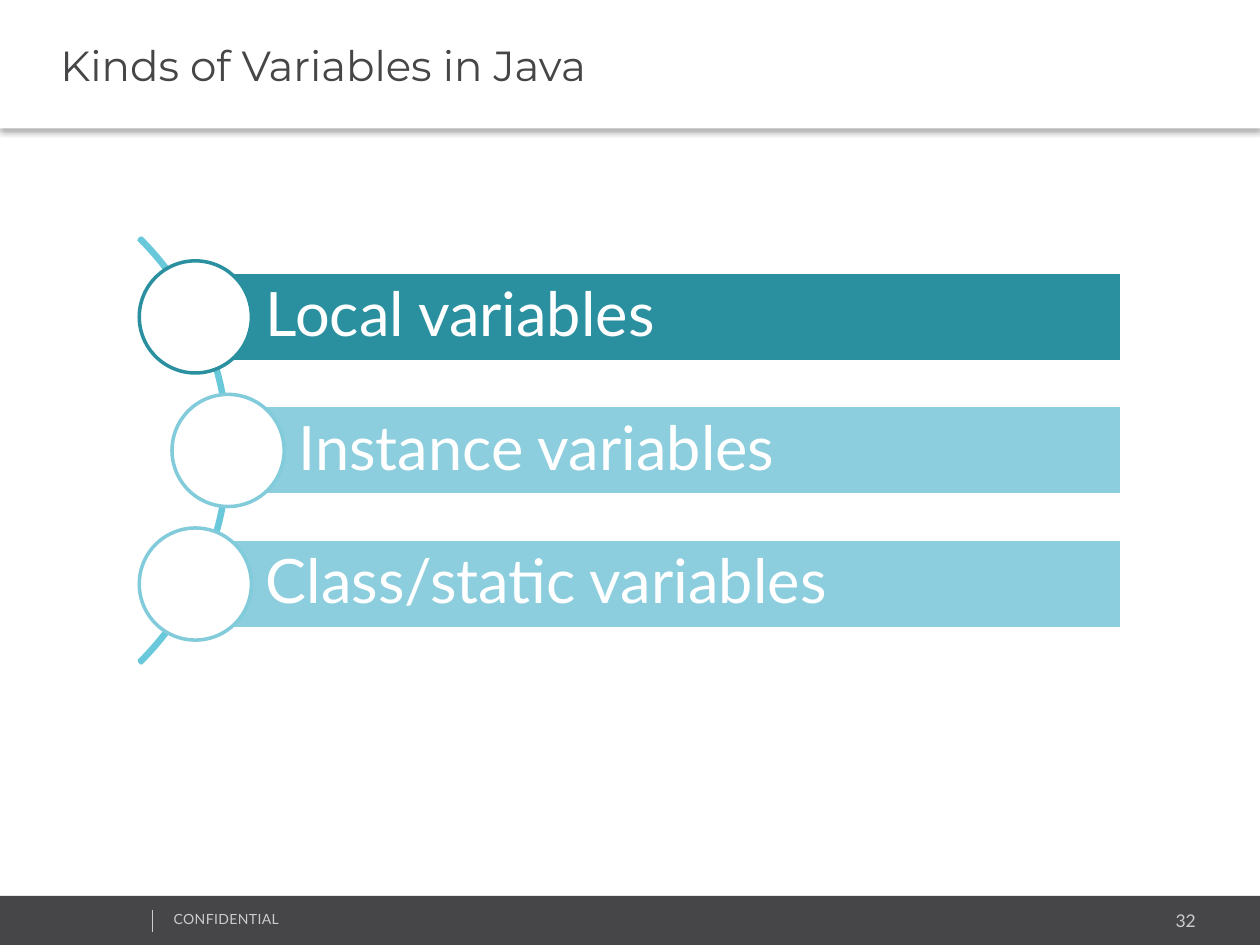
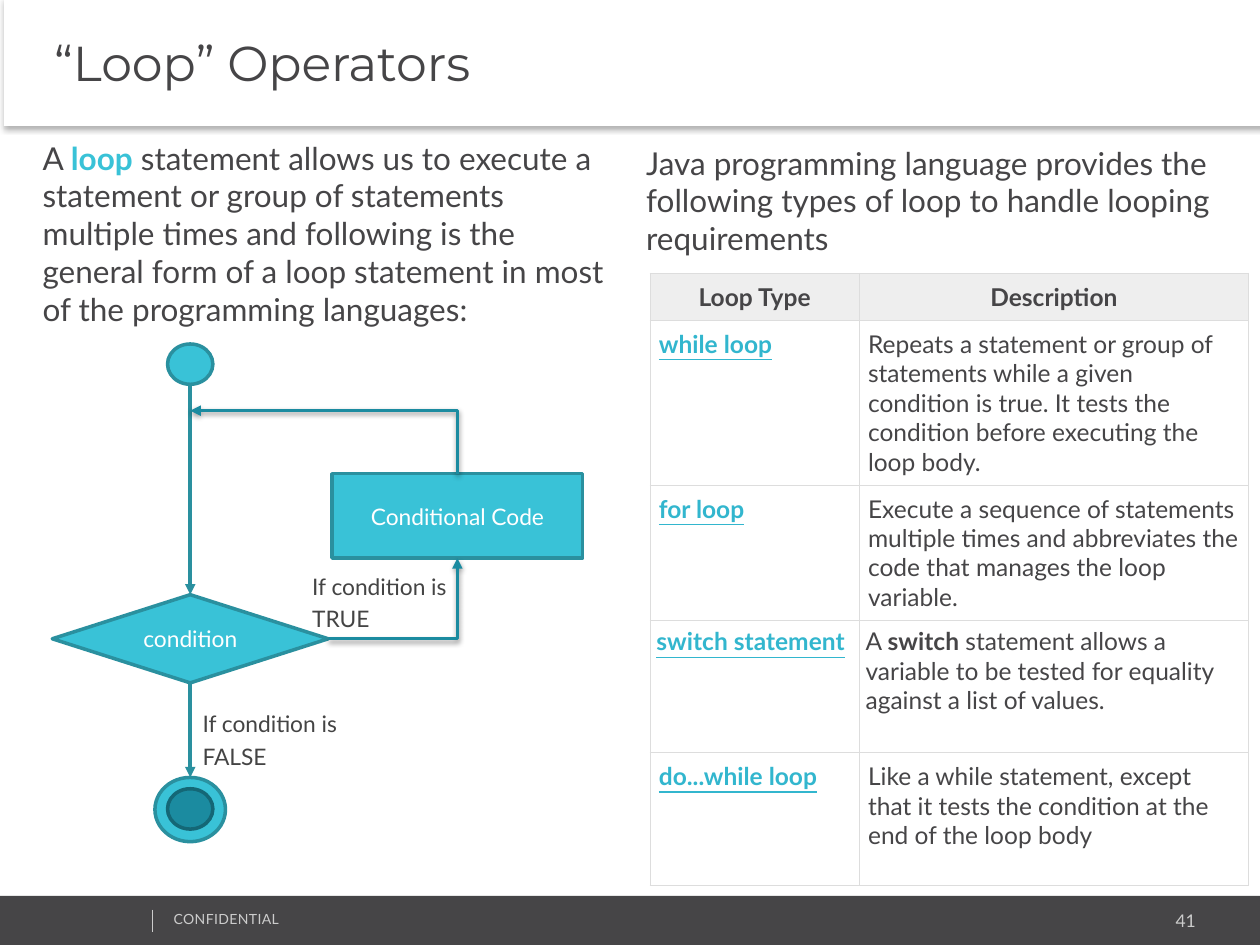
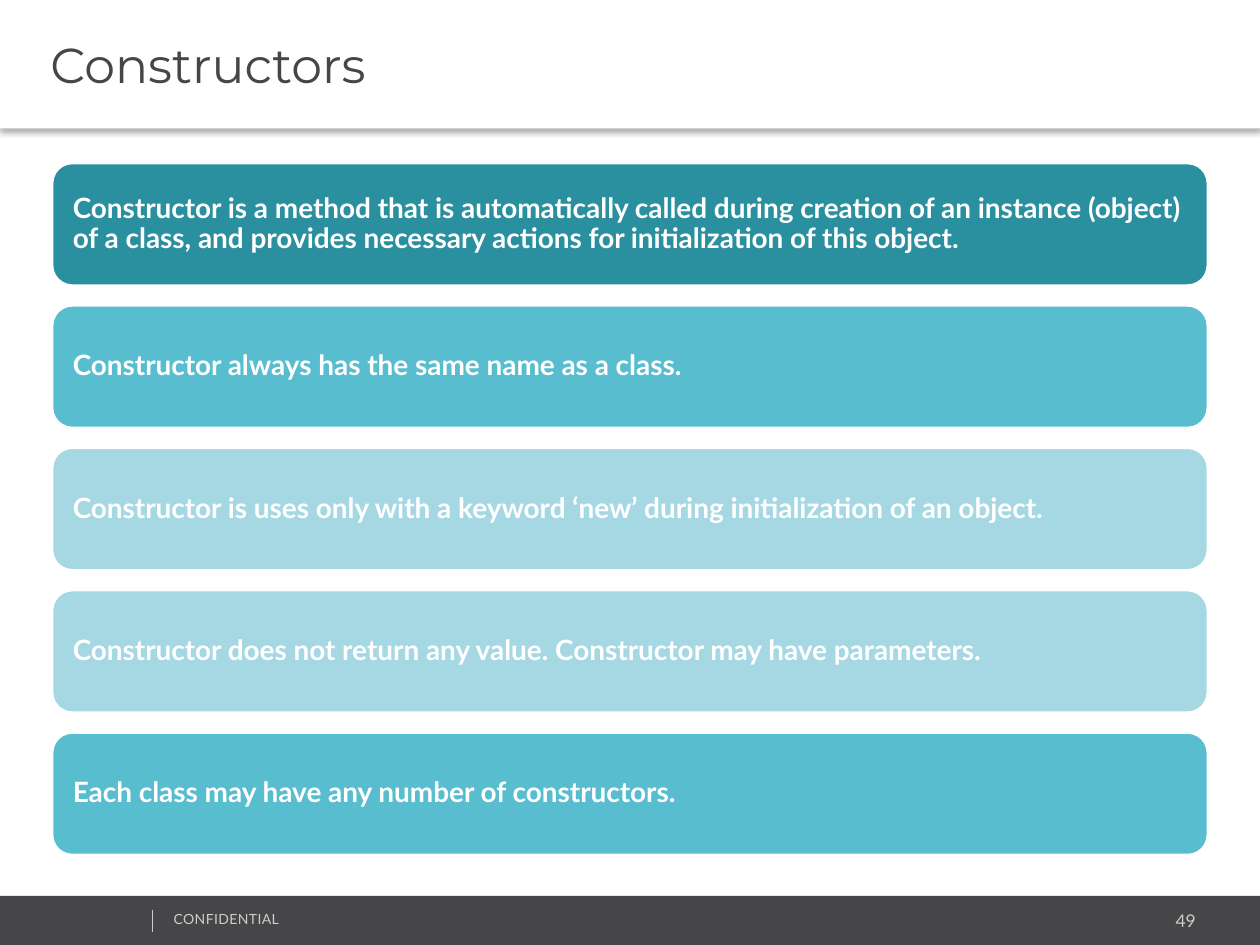
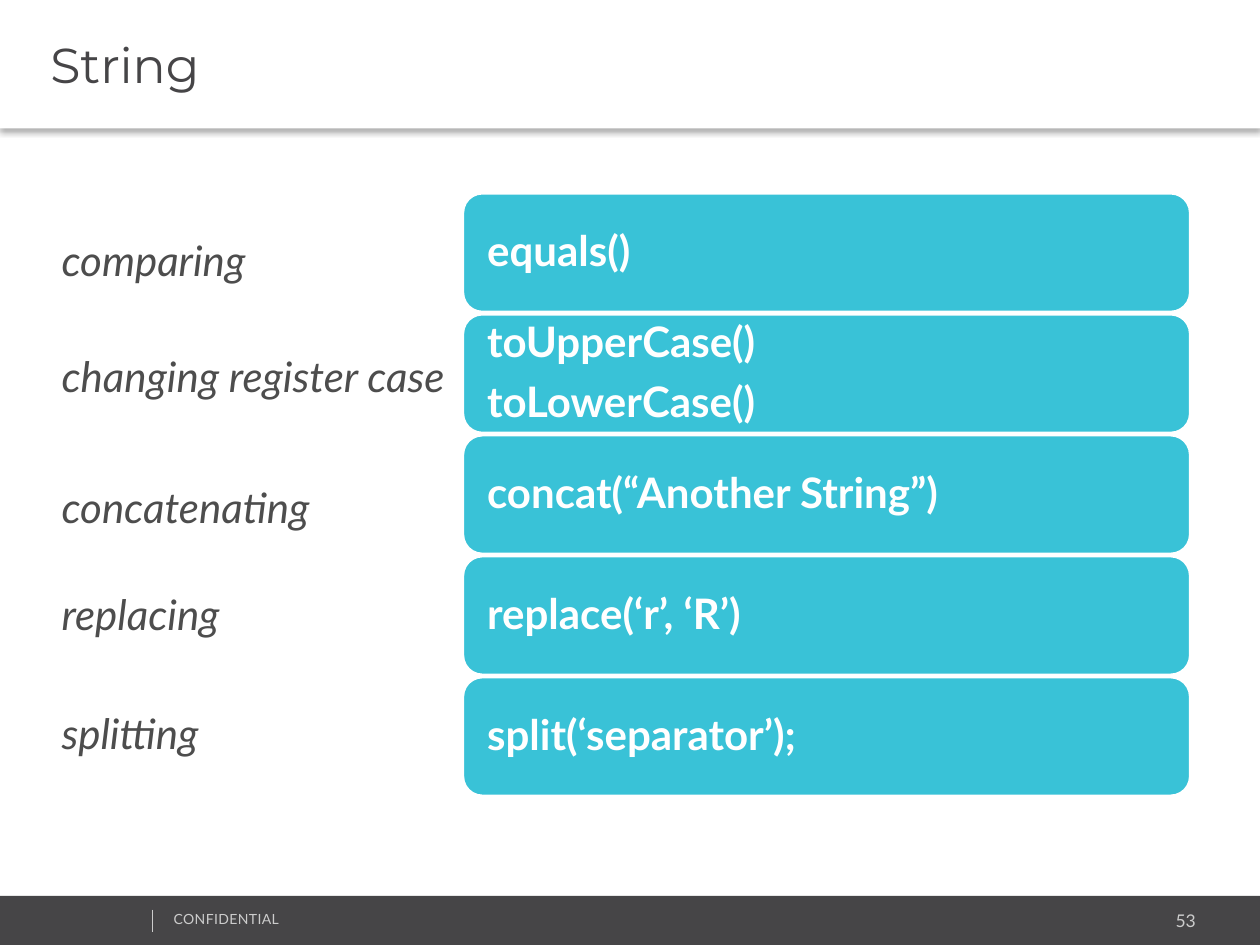
from lxml.etree import SubElement
from pptx import Presentation
from pptx.dml.color import RGBColor
from pptx.enum.shapes import MSO_CONNECTOR as Link, MSO_SHAPE as Preset
from pptx.enum.text import MSO_ANCHOR as Anchor, MSO_AUTO_SIZE as AutoSize, PP_ALIGN as Align
from pptx.oxml.ns import qn
from pptx.util import Inches, Pt

WHITE = RGBColor(0xFF, 0xFF, 0xFF)
INK = RGBColor(0x46, 0x45, 0x47)
LABEL_INK = RGBColor(0x44, 0x44, 0x44)
TOPIC_INK = RGBColor(0x4D, 0x4D, 0x4D)
FOOTER_GREY = RGBColor(0xCC, 0xCC, 0xCC)
HEADER_GREY = RGBColor(0xEE, 0xEE, 0xEE)
TEAL = RGBColor(0x2A, 0x90, 0x9F)
DEEP_TEAL = RGBColor(0x1B, 0x8B, 0xA0)
DARK_TEAL = RGBColor(0x14, 0x67, 0x76)
CYAN = RGBColor(0x39, 0xC2, 0xD7)
LINK_CYAN = RGBColor(0x32, 0xB6, 0xCE)
ARC_CYAN = RGBColor(0x69, 0xC9, 0xDB)
MID_CYAN = RGBColor(0x59, 0xBD, 0xD0)
PALE_CYAN = RGBColor(0xA6, 0xD8, 0xE4)
BAR_CYAN = RGBColor(0x8C, 0xCE, 0xDD)
RING_CYAN = RGBColor(0x82, 0xCB, 0xDA)

BODY_FONT = "Lato"
TITLE_FONT = "Montserrat"

VARIABLE_KINDS = [
    ("Local variables", 0, TEAL, TEAL),
    ("Instance variables", 0.26, BAR_CYAN, RING_CYAN),
    ("Class/static variables", 0, BAR_CYAN, RING_CYAN),
]
LOOP_INTRO = (
    "A *loop* statement allows us to execute a statement or group of statements multiple times "
    "and following is the general form of a loop statement in most of the programming languages:"
)
LOOP_TYPES_INTRO = (
    "Java programming language provides the following types of loop to handle looping requirements"
)
LOOP_TYPES = [
    ("while loop", "Repeats a statement or group of statements while a given condition is true. "
                   "It tests the condition before executing the loop body.", 1.28, 0.07),
    ("for loop", "Execute a sequence of statements multiple times and abbreviates the code that "
                 "manages the loop variable.", 1.05, 0.07),
    ("switch statement", "A *switch* statement allows a variable to be tested for equality "
                         "against a list of values.", 1.05, 0.05),
    ("do...while loop", "Like a while statement, except that it tests the condition at the end "
                        "of the loop body", 1.05, 0.07),
]
CONSTRUCTOR_FACTS = [
    ("Constructor is a method that is automatically called during creation of an instance "
     "(object) of a class, and provides necessary actions for initialization of this object.", TEAL),
    ("Constructor always has the same name as a class.", MID_CYAN),
    ("Constructor is uses only with a keyword ‘new’ during initialization of an object.", PALE_CYAN),
    ("Constructor does not return any value. Constructor may have parameters.", PALE_CYAN),
    ("Each class may have any number of constructors.", MID_CYAN),
]
STRING_METHODS = [
    ("equals()", CYAN),
    ("toUpperCase()\ntoLowerCase()", CYAN),
    ("concat(“Another String”)", CYAN),
    ("replace(‘r’, ‘R’)", CYAN),
    ("split(‘separator’);", CYAN),
]
STRING_TOPICS = [
    ("comparing", 1.81),
    ("changing register case", 2.73),
    ("concatenating", 3.77),
    ("replacing", 4.62),
    ("splitting", 5.57),
]


def write(frame, text, size, color, align=Align.LEFT, bold=False, italic=False,
          underline=False, accent=None, spacing=None, after=0, font=BODY_FONT):
    """Write one paragraph per line, with the parts between asterisks in bold accent."""
    lines = text.split("\n")
    for number, line in enumerate(lines):
        paragraph = frame.paragraphs[0] if number == 0 else frame.add_paragraph()
        paragraph.alignment = align
        if spacing:
            paragraph.line_spacing = spacing
        if number < len(lines) - 1:
            paragraph.space_after = Pt(after)
        for position, part in enumerate(line.split("*")):
            stressed = position % 2 == 1
            run = paragraph.add_run()
            run.text = part
            run.font.name = font
            run.font.size = Pt(size)
            run.font.bold = bold or stressed
            run.font.italic = italic
            run.font.underline = underline
            run.font.color.rgb = accent if stressed and accent else color


def set_margins(frame, left, top, right, bottom):
    """Set the four insets of a text frame in inches."""
    frame.margin_left, frame.margin_top = Inches(left), Inches(top)
    frame.margin_right, frame.margin_bottom = Inches(right), Inches(bottom)


def add_box(slide, preset, left, top, width, height, fill, line=None):
    """Add a flat preset shape with middle-anchored text."""
    box = slide.shapes.add_shape(preset, Inches(left), Inches(top), Inches(width), Inches(height))
    box.shadow.inherit = False
    if fill is None:
        box.fill.background()
    else:
        box.fill.solid()
        box.fill.fore_color.rgb = fill
    if line is None:
        box.line.fill.background()
    else:
        box.line.width = Pt(2)
        box.line.color.rgb = line
    box.text_frame.word_wrap = True
    box.text_frame.vertical_anchor = Anchor.MIDDLE
    return box


def add_note(slide, left, top, width, height, text, size, color, **style):
    """Add a wrapping text box."""
    note = slide.shapes.add_textbox(Inches(left), Inches(top), Inches(width), Inches(height))
    note.text_frame.word_wrap = True
    write(note.text_frame, text, size, color, **style)
    return note


def add_line(slide, start, end, color, weight=2, kind=Link.STRAIGHT, arrow=None):
    """Add a connector without shadow, with an optional arrowhead (headEnd or tailEnd)."""
    line = slide.shapes.add_connector(kind, *map(Inches, start + end))
    line.line.width = Pt(weight)
    line.line.color.rgb = color
    properties = line.element.spPr
    if arrow:
        SubElement(properties.find(qn("a:ln")), qn(f"a:{arrow}"), type="triangle")
    SubElement(properties, qn("a:effectLst"))
    return line


def cast_shadow(shape, opacity, distance):
    """Put a soft black shadow below a shape whose effect list is empty."""
    effects = shape.element.spPr.find(qn("a:effectLst"))
    shadow = SubElement(effects, qn("a:outerShdw"), blurRad=str(Pt(3.1)), dist=str(Pt(distance)),
                        dir="5400000", algn="t", rotWithShape="0")
    black = SubElement(shadow, qn("a:srgbClr"), val="000000")
    SubElement(black, qn("a:alpha"), val=str(opacity * 1000))


def move_footer_to_layout(slide, layout):
    """Draw the shared footer band once and hand it to the layout."""
    band = add_box(slide, Preset.RECTANGLE, 0, 7.11, 10, 0.4, INK)
    notice = add_note(slide, 1.28, 7.18, 2.53, 0.24, "CONFIDENTIAL", 8, FOOTER_GREY)
    notice.text_frame.paragraphs[0].runs[0].font._element.set("spc", "20")
    divider = add_line(slide, (1.21, 7.22), (1.21, 7.4), FOOTER_GREY, 0.25)
    for part in (band, notice, divider):
        layout.shapes.element.append(part.element)


def start_slide(deck, layout, heading, number, size=28, left=0, top=0, inset=0.4):
    """Add a slide with its shadowed title band and page number."""
    slide = deck.slides.add_slide(layout)
    title = slide.shapes.title
    title.left, title.top, title.width, title.height = map(Inches, (left, top, 10, 1.02))
    title.fill.solid()
    title.fill.fore_color.rgb = WHITE
    title.shadow.inherit = False
    cast_shadow(title, 30, 2)
    frame = title.text_frame
    frame.auto_size = AutoSize.NONE
    frame.vertical_anchor = Anchor.MIDDLE
    set_margins(frame, inset, 0.05, 0.1, 0.05)
    write(frame, heading, size, INK, font=TITLE_FONT)
    add_note(slide, 7.96, 7.17, 1.63, 0.27, str(number), 10, FOOTER_GREY, align=Align.RIGHT)
    return slide


def add_arc_list(slide, left, top, width):
    """Place labelled bars with circles along an arc."""
    bar_height, pitch, circle = 0.71, 1.06, 0.89
    radius = 2.385
    middle = top + pitch + bar_height / 2
    arc = add_box(slide, Preset.BLOCK_ARC, left - 4.5, middle - radius, 2 * radius, 2 * radius,
                  None, ARC_CYAN)
    for index, value in enumerate((189, 27, 0.005)):
        arc.adjustments[index] = value
    for row, (kind, shift, fill, ring) in enumerate(VARIABLE_KINDS):
        bar_left, bar_top = left + shift, top + row * pitch
        bar = add_box(slide, Preset.RECTANGLE, bar_left, bar_top, width - shift, bar_height,
                      fill, WHITE)
        set_margins(bar.text_frame, 0.56, 0.1, 0.1, 0.1)
        write(bar.text_frame, kind, 35, WHITE, spacing=0.9)
        add_box(slide, Preset.OVAL, bar_left - circle / 2, bar_top + (bar_height - circle) / 2,
                circle, circle, WHITE, ring)


def add_loop_flow(slide, left, top):
    """Draw the flowchart of a loop, from the start dot to the end ring."""
    axis = left + 1.1

    def add_node(preset, center, offset, width, height, fill=CYAN, line=TEAL, text=""):
        """Add a node centred on the given x."""
        node = add_box(slide, preset, center - width / 2, top + offset, width, height, fill, line)
        if text:
            write(node.text_frame, text, 13, WHITE, align=Align.CENTER)
        return node

    code_axis = axis + 2.12
    add_node(Preset.OVAL, axis, 0, 0.36, 0.32)
    decision = add_node(Preset.FLOWCHART_DECISION, axis, 1.99, 2.19, 0.7, text="condition")
    add_node(Preset.RECTANGLE, code_axis, 1.03, 1.99, 0.67, text="Conditional Code")
    ring = add_node(Preset.OVAL, axis, 3.44, 0.56, 0.51)
    add_node(Preset.OVAL, axis, 3.53, 0.36, 0.32, DEEP_TEAL, DARK_TEAL)

    entry = add_line(slide, (axis, top + 0.32), (axis, top + 1.99), TEAL, arrow="tailEnd")
    entry.end_connect(decision, 0)
    leave = add_line(slide, (axis, top + 2.69), (axis, top + 3.44), TEAL, arrow="tailEnd")
    leave.begin_connect(decision, 2)
    leave.end_connect(ring, 0)

    bends = [
        ((axis + 1.1, top + 2.34), (code_axis, top + 1.7), "tailEnd"),
        ((axis, top + 0.53), (code_axis, top + 1.03), "headEnd"),
    ]
    for start, end, arrow in bends:
        bend = add_line(slide, start, end, DEEP_TEAL, kind=Link.ELBOW, arrow=arrow)
        bend.element.spPr.find(qn("a:prstGeom")).set("prst", "bentConnector2")
        cast_shadow(bend, 38, 1.6)

    for shift, offset, answer in ((0, 2.81, "FALSE"), (0.87, 1.72, "TRUE")):
        add_note(slide, axis + shift, top + offset, 1.5, 0.63, f"If condition is {answer}", 13,
                 LABEL_INK, spacing=1.2)


def fill_cell(cell, text, inset, fill, color=INK, **style):
    """Write one table cell with its fill and thin grey borders."""
    cell.margin_left = cell.margin_right = Inches(inset)
    cell.margin_top = cell.margin_bottom = Inches(inset)
    write(cell.text_frame, text, 14, color, **style)
    properties = cell._tc.get_or_add_tcPr()
    for side in ("lnL", "lnR", "lnT", "lnB"):
        border = SubElement(properties, qn(f"a:{side}"), w=str(Pt(0.6)))
        paint = SubElement(border, qn("a:solidFill"))
        SubElement(paint, qn("a:srgbClr"), val="DDDDDD")
    cell.fill.solid()
    cell.fill.fore_color.rgb = fill


def add_loop_table(slide, left, top, widths):
    """Add the table of loop types."""
    heights = [0.34] + [height for _, _, height, _ in LOOP_TYPES]
    table = slide.shapes.add_table(len(heights), len(widths), Inches(left), Inches(top),
                                   Inches(sum(widths)), Inches(sum(heights))).table
    table.first_row = table.horz_banding = False
    for column, width in zip(table.columns, widths):
        column.width = Inches(width)
    for row, height in zip(table.rows, heights):
        row.height = Inches(height)
    for column, header in enumerate(("Loop Type", "Description")):
        fill_cell(table.cell(0, column), header, 0.07, HEADER_GREY, align=Align.CENTER, bold=True)
    for row, (loop, description, _, inset) in enumerate(LOOP_TYPES, 1):
        fill_cell(table.cell(row, 0), loop, inset, WHITE, LINK_CYAN, bold=True, underline=True)
        fill_cell(table.cell(row, 1), description, inset, WHITE)


def add_cards(slide, cards, left, top, width, height, pitch, size, inset):
    """Stack rounded cards at an equal pitch."""
    for row, (text, fill) in enumerate(cards):
        card = add_box(slide, Preset.ROUNDED_RECTANGLE, left, top + row * pitch, width, height,
                       fill, WHITE)
        set_margins(card.text_frame, inset, 0, inset, 0)
        write(card.text_frame, text, size, WHITE, bold=True, spacing=0.9, after=0.35 * size)


def add_topics(slide, left, width):
    """Write the string topics beside their methods."""
    for topic, top in STRING_TOPICS:
        add_note(slide, left, top, width, 0.5, topic, 24, TOPIC_INK, italic=True)


def main():
    """Build the four slides and save them."""
    deck = Presentation()
    deck.slide_width, deck.slide_height = Inches(10), Inches(7.5)
    layout = deck.slide_layouts[5]

    variables = start_slide(deck, layout, "Kinds of Variables in Java", 32, size=24, inset=0.48)
    move_footer_to_layout(variables, layout)
    add_arc_list(variables, 1.55, 2.16, 7.35)

    loops = start_slide(deck, layout, "“Loop” Operators", 41, left=0.03, top=-0.02)
    add_loop_flow(loops, 0.41, 2.73)
    add_note(loops, 0.24, 1.05, 4.66, 1.62, LOOP_INTRO, 18, INK, accent=CYAN)
    add_note(loops, 5.03, 1.09, 4.75, 1.01, LOOP_TYPES_INTRO, 18, INK)
    add_loop_table(loops, 5.16, 2.17, (1.66, 3.09))

    constructors = start_slide(deck, layout, "Constructors", 49)
    add_cards(constructors, CONSTRUCTOR_FACTS, 0.41, 1.29, 9.18, 0.98, 1.13, 16, 0.12)

    strings = start_slide(deck, layout, "String", 53)
    add_cards(strings, STRING_METHODS, 3.67, 1.53, 5.78, 0.95, 0.96, 24, 0.15)
    add_topics(strings, 0.39, 3.28)

    deck.save("out.pptx")


if __name__ == "__main__":
    main()
